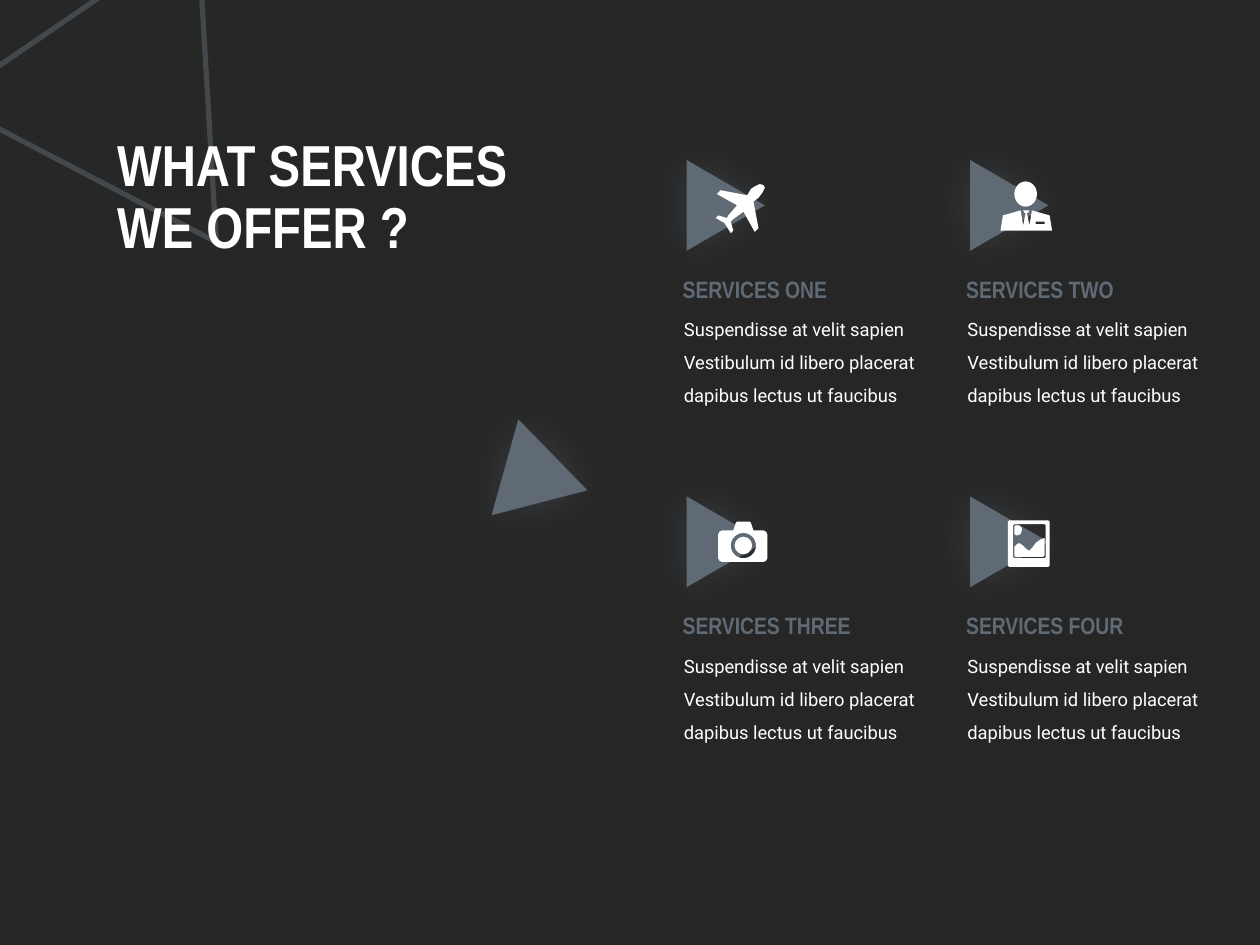
"""Build the "What services we offer" slide."""
from copy import deepcopy
from math import cos, pi, sin

from lxml import etree
from pptx import Presentation
from pptx.dml.color import RGBColor
from pptx.enum.shapes import MSO_SHAPE as SHAPE
from pptx.enum.text import MSO_ANCHOR as ANCHOR, MSO_AUTO_SIZE as AUTO, PP_ALIGN as ALIGN
from pptx.oxml.ns import qn
from pptx.util import Inches, Pt

COLORS = {"back": "262626", "slate": "606A74", "white": "FFFFFF"}
HEAD_FONT, BODY_FONT = "Arial Narrow", "Roboto"
SERVICES = ["SERVICES ONE", "SERVICES TWO", "SERVICES THREE", "SERVICES FOUR"]
BODY = "Suspendisse at velit sapien Vestibulum id libero placerat dapibus lectus ut faucibus"
LEFT, TOP, COL_STEP, ROW_STEP = 5.4, 1.32, 2.25, 2.67

PLANE = [(6.06, 1.47), (6.03, 1.46), (5.99, 1.48), (5.96, 1.5), (5.93, 1.55), (5.72, 1.51),
         (5.69, 1.54), (5.85, 1.63), (5.78, 1.71), (5.77, 1.73), (5.7, 1.71), (5.68, 1.73),
         (5.75, 1.77), (5.8, 1.85), (5.82, 1.83), (5.8, 1.76), (5.82, 1.74), (5.9, 1.68),
         (5.99, 1.84), (6.02, 1.81), (5.98, 1.6), (6.02, 1.57), (6.05, 1.53), (6.07, 1.49)]
SUIT = [(8.33, 1.71), (8.19, 1.67), (8.17, 1.79), (8.15, 1.69), (8.16, 1.69), (8.17, 1.67),
        (8.12, 1.67), (8.13, 1.69), (8.14, 1.69), (8.12, 1.79), (8.1, 1.67), (7.96, 1.71),
        (7.94, 1.83), (8.35, 1.83)]
CAMERA = [(6.06, 4.21), (5.98, 4.21), (5.96, 4.15), (5.95, 4.14), (5.85, 4.14), (5.84, 4.15),
          (5.82, 4.21), (5.73, 4.21), (5.71, 4.22), (5.7, 4.24), (5.7, 4.43), (5.71, 4.45),
          (5.73, 4.46), (6.06, 4.46), (6.08, 4.45), (6.09, 4.43), (6.09, 4.24), (6.08, 4.22)]
HILLS = [(8.29, 4.27), (8.26, 4.28), (8.22, 4.31), (8.19, 4.35), (8.17, 4.37), (8.15, 4.36),
         (8.12, 4.33), (8.09, 4.31), (8.07, 4.32), (8.05, 4.34), (8.05, 4.41), (8.06, 4.42),
         (8.28, 4.42), (8.29, 4.41)]
SUN = [(8.11, 4.21), (8.11, 4.19), (8.09, 4.17), (8.06, 4.17), (8.05, 4.18), (8.05, 4.24),
       (8.07, 4.25), (8.1, 4.24)]


def box(left, top, right, bottom, cut=0):
    """Return the points of a rectangle with optional cut corners."""
    if not cut:
        return [(left, top), (right, top), (right, bottom), (left, bottom)]
    return [(left + cut, top), (right - cut, top), (right, top + cut), (right, bottom - cut),
            (right - cut, bottom), (left + cut, bottom), (left, bottom - cut), (left, top + cut)]


def circle(cx, cy, radius, steps=40):
    """Return points around a circle."""
    angles = [2 * pi * i / steps for i in range(steps)]
    return [(cx + radius * cos(a), cy + radius * sin(a)) for a in angles]


def rgb(name):
    """Return a palette colour."""
    return RGBColor.from_string(COLORS[name])


def set_alpha(color, percent):
    """Set the opacity of a colour element."""
    etree.SubElement(color, qn("a:alpha")).set("val", str(percent * 1000))


class Deck:
    """Hold the style and the current slide."""

    def __init__(self):
        """Open a dark title-only slide."""
        self.prs = Presentation()
        self.prs.slide_width, self.prs.slide_height = Inches(10), Inches(7.5)
        self.s = self.prs.slides.add_slide(self.prs.slide_layouts[5])
        self.s.background.fill.solid()
        self.s.background.fill.fore_color.rgb = rgb("back")

    def style(self, p, size, font, color, bold=False):
        """Format the runs of a paragraph."""
        for r in p.runs:
            r.font.size, r.font.name, r.font.bold = Pt(size), font, bold
            r.font.color.rgb = rgb(color)

    def title(self, text, *at):
        """Fill the title and bring it to the front."""
        sp = self.s.shapes.title
        sp.left, sp.top, sp.width, sp.height = map(Inches, at)
        tf = sp.text_frame
        tf.text, tf.vertical_anchor, tf.word_wrap = text, ANCHOR.MIDDLE, True
        tf.auto_size = AUTO.NONE
        p = tf.paragraphs[0]
        p.alignment, p.line_spacing = ALIGN.LEFT, 0.9
        self.style(p, 33, HEAD_FONT, "white", True)
        for br in p._p.findall(qn("a:br")):
            br.append(deepcopy(p.runs[0]._r.rPr))
        self.s.shapes._spTree.append(sp._element)

    def text(self, text, at, size, font, color, bold=False, spacing=1.0):
        """Add a wrapped text box."""
        tf = self.s.shapes.add_textbox(*map(Inches, at)).text_frame
        tf.text, tf.word_wrap, tf.auto_size = text, True, AUTO.SHAPE_TO_FIT_TEXT
        p = tf.paragraphs[0]
        p.line_spacing = spacing
        self.style(p, size, font, color, bold)

    def triangle(self, at, rotation, outline=False):
        """Add a glowing triangle, filled or outlined."""
        sp = self.s.shapes.add_shape(SHAPE.ISOSCELES_TRIANGLE, *map(Inches, at))
        sp.rotation = rotation
        if outline:
            sp.fill.background()
            sp.line.width = Pt(3)
            sp.line.color.rgb = rgb("slate")
            set_alpha(sp.line._ln.find(".//" + qn("a:srgbClr")), 50)
        else:
            self.paint(sp, "slate")
        sp.shadow.inherit = False
        effects = sp._element.spPr.find(qn("a:effectLst"))
        glow = etree.SubElement(effects, qn("a:outerShdw"), blurRad=str(Pt(25)), dist="0",
                                dir="0", algn="ctr", rotWithShape="0")
        set_alpha(etree.SubElement(glow, qn("a:srgbClr"), val=COLORS["slate"]), 35)

    def paint(self, sp, color):
        """Give a shape a flat fill without line or shadow."""
        sp.fill.solid()
        sp.fill.fore_color.rgb = rgb(color)
        sp.line.fill.background()
        sp.shadow.inherit = False

    def group(self):
        """Return the shapes of a new group."""
        return self.s.shapes.add_group_shape().shapes

    def outline(self, shapes, *contours):
        """Add a white freeform; later contours are holes."""
        paths = [[(Inches(x), Inches(y)) for x, y in c] for c in contours]
        builder = shapes.build_freeform(*paths[0][0])
        builder.add_line_segments(paths[0][1:])
        for path in paths[1:]:
            builder.move_to(*path[0])
            builder.add_line_segments(path[1:])
        self.paint(builder.convert_to_shape(), "white")

    def ellipse(self, shapes, *at):
        """Add a white ellipse."""
        self.paint(shapes.add_shape(SHAPE.OVAL, *map(Inches, at)), "white")

    def service(self, index, name):
        """Add one service of the two-column grid."""
        row, col = divmod(index, 2)
        x, y = LEFT + col * COL_STEP, TOP + row * ROW_STEP
        self.triangle((x, y, 0.72, 0.62), 90)
        self.text(BODY, (x - 0.07, y + 1.07, 2.11, 0.87), 10.5, BODY_FONT, "white", spacing=1.5)
        self.text(name, (x - 0.08, y + 0.81, 1.84, 0.33), 13.5, HEAD_FONT, "slate", True)


def main():
    """Build and save the slide."""
    deck = Deck()
    deck.triangle((-0.63, -0.29, 2.48, 2.07), 266.6, outline=True)
    deck.title("WHAT SERVICES\vWE OFFER ?", 0.83, 0.79, 4.22, 1.58)
    for index, name in enumerate(SERVICES):
        deck.service(index, name)

    deck.outline(deck.s.shapes, PLANE)
    person = deck.group()
    deck.outline(person, SUIT, box(8.22, 1.76, 8.29, 1.78))
    deck.ellipse(person, 8.05, 1.44, 0.18, 0.2)
    camera = deck.group()
    deck.outline(camera, CAMERA, circle(5.9, 4.33, 0.1))
    deck.ellipse(camera, 5.83, 4.26, 0.14, 0.14)
    photo = deck.group()
    deck.outline(photo, HILLS)
    deck.outline(photo, SUN)
    deck.outline(photo, box(8, 4.13, 8.33, 4.5, 0.01), box(8.04, 4.16, 8.3, 4.43, 0.01))

    deck.triangle((3.94, 3.46, 0.79, 0.68), 105.6)
    deck.prs.save("out.pptx")


if __name__ == "__main__":
    main()
